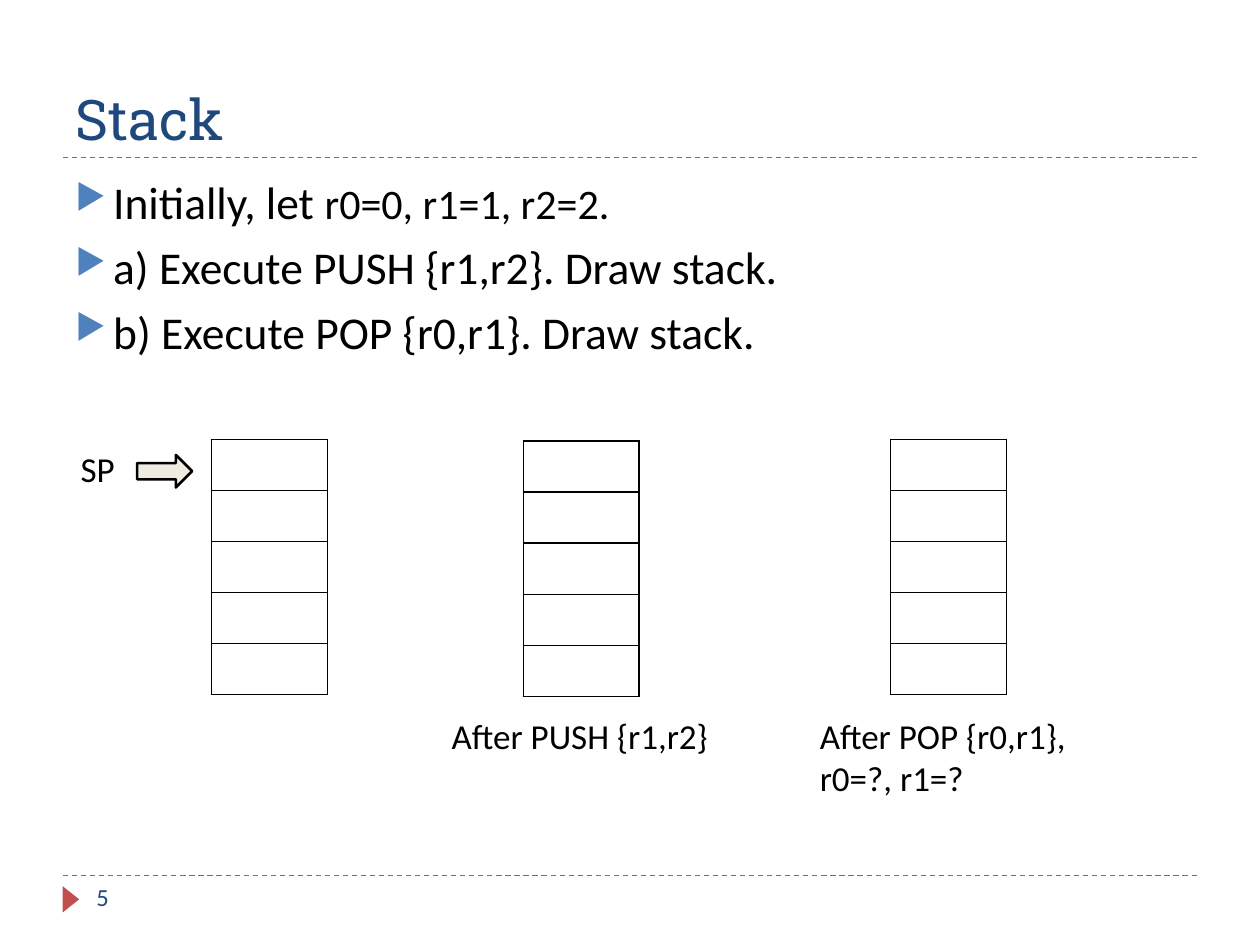
from lxml.etree import SubElement
from pptx import Presentation
from pptx.dml.color import RGBColor
from pptx.enum.dml import MSO_LINE
from pptx.enum.shapes import MSO_CONNECTOR, MSO_SHAPE
from pptx.enum.text import MSO_ANCHOR
from pptx.oxml.ns import qn
from pptx.util import Pt

BLACK = "000000"
NAVY = "1F497D"
RED = "C0504D"
BLUE = "4F81BD"
CREAM = "EEECE1"


def color(value):
    return RGBColor.from_string(value)


def add_bullet(paragraph):
    properties = paragraph._p.get_or_add_pPr()
    properties.set("marL", str(Pt(21.6)))
    properties.set("indent", str(-Pt(21.6)))
    bullet_color = SubElement(properties, qn("a:buClr"))
    SubElement(bullet_color, qn("a:srgbClr"), val=BLUE)
    SubElement(properties, qn("a:buSzPct"), val="76000")
    SubElement(properties, qn("a:buChar"), char="▶")


def add_run(paragraph, text, size=20, font="Calibri", fill=BLACK):
    run = paragraph.add_run()
    run.text = text
    run.font.size = Pt(size)
    run.font.name = font
    run.font.color.rgb = color(fill)


def add_text_box(slide, left, top, width, height, wrap=True, anchor=MSO_ANCHOR.TOP):
    shape = slide.shapes.add_textbox(Pt(left), Pt(top), Pt(width), Pt(height))
    shape.text_frame.word_wrap = wrap
    shape.text_frame.vertical_anchor = anchor
    return shape.text_frame


def add_text(slide, text, left, top, width, height, wrap=True,
             anchor=MSO_ANCHOR.TOP, **run_format):
    frame = add_text_box(slide, left, top, width, height, wrap, anchor)
    for index, line in enumerate(text.split("\n")):
        paragraph = frame.add_paragraph() if index else frame.paragraphs[0]
        add_run(paragraph, line, **run_format)


def add_bullets(slide, items, left, top, width, height):
    frame = add_text_box(slide, left, top, width, height)
    for index, runs in enumerate(items):
        paragraph = frame.add_paragraph() if index else frame.paragraphs[0]
        add_bullet(paragraph)
        if index:
            paragraph.space_before = Pt(6)
        for text, size in runs:
            add_run(paragraph, text, size=size)


def add_rule(slide, top):
    line = slide.shapes.add_connector(
        MSO_CONNECTOR.STRAIGHT, Pt(36), Pt(top), Pt(684), Pt(top))
    line.line.color.rgb = color(RED)
    line.line.width = Pt(0.75)
    line.line.dash_style = MSO_LINE.DASH
    SubElement(line._element.spPr, qn("a:effectLst"))


def add_shape(slide, kind, left, top, width, height, fill, outline=None):
    shape = slide.shapes.add_shape(kind, Pt(left), Pt(top), Pt(width), Pt(height))
    shape.shadow.inherit = False
    shape.fill.solid()
    shape.fill.fore_color.rgb = color(fill)
    if outline:
        shape.line.color.rgb = color(outline)
        shape.line.width = Pt(1.5)
    else:
        shape.line.fill.background()
    return shape


def add_borders(cell):
    properties = cell._tc.get_or_add_tcPr()
    for side in ("lnL", "lnR", "lnT", "lnB"):
        border = SubElement(properties, qn(f"a:{side}"), w=str(Pt(1)))
        fill = SubElement(border, qn("a:solidFill"))
        SubElement(fill, qn("a:srgbClr"), val=BLACK)


def add_stack(slide, left, top, rows=5, width=66.2, row_height=29.2):
    frame = slide.shapes.add_table(
        rows, 1, Pt(left), Pt(top), Pt(width), Pt(rows * row_height))
    table = frame.table
    table.first_row = False
    table.horz_banding = False
    for row in table.rows:
        row.height = Pt(row_height)
        cell = row.cells[0]
        cell.margin_top = cell.margin_bottom = Pt(2)
        add_borders(cell)
        cell.fill.background()


def main():
    presentation = Presentation()
    presentation.slide_width = Pt(720)
    presentation.slide_height = Pt(540)
    slide = presentation.slides.add_slide(presentation.slide_layouts[6])

    for top in (500.4, 90):
        add_rule(slide, top)
    marker = add_shape(slide, MSO_SHAPE.ISOSCELES_TRIANGLE, 33, 509.2, 15, 9.4, RED)
    marker.rotation = 90

    add_text(slide, "Stack", 36, 12, 648, 78, anchor=MSO_ANCHOR.BOTTOM,
             size=32, font="Roboto Slab", fill=NAVY)
    add_text(slide, "5", 48, 500.4, 156, 28.8, size=14, fill=NAVY)
    add_bullets(slide, [
        [("Initially, let ", 26), ("r0=0, r1=1, r2=2.", 24)],
        [("a) Execute PUSH {r1,r2}. Draw stack.", 26)],
        [("b) Execute POP {r0,r1}. Draw stack.", 26)],
    ], 36, 96, 648, 119)

    for left, top in ((120.8, 251), (299, 252), (509, 251)):
        add_stack(slide, left, top)
    add_shape(slide, MSO_SHAPE.RIGHT_ARROW, 78.4, 260, 31.4, 18.6, CREAM, BLACK)

    add_text(slide, "SP", 39, 252, 34, 31.5, wrap=False)
    add_text(slide, "After PUSH {r1,r2}", 251, 404.8, 171.5, 31.5, wrap=False)
    add_text(slide, "After POP {r0,r1},\nr0=?, r1=?", 461.4, 404.8, 164, 55.7, wrap=False)

    presentation.save("out.pptx")


if __name__ == "__main__":
    main()
